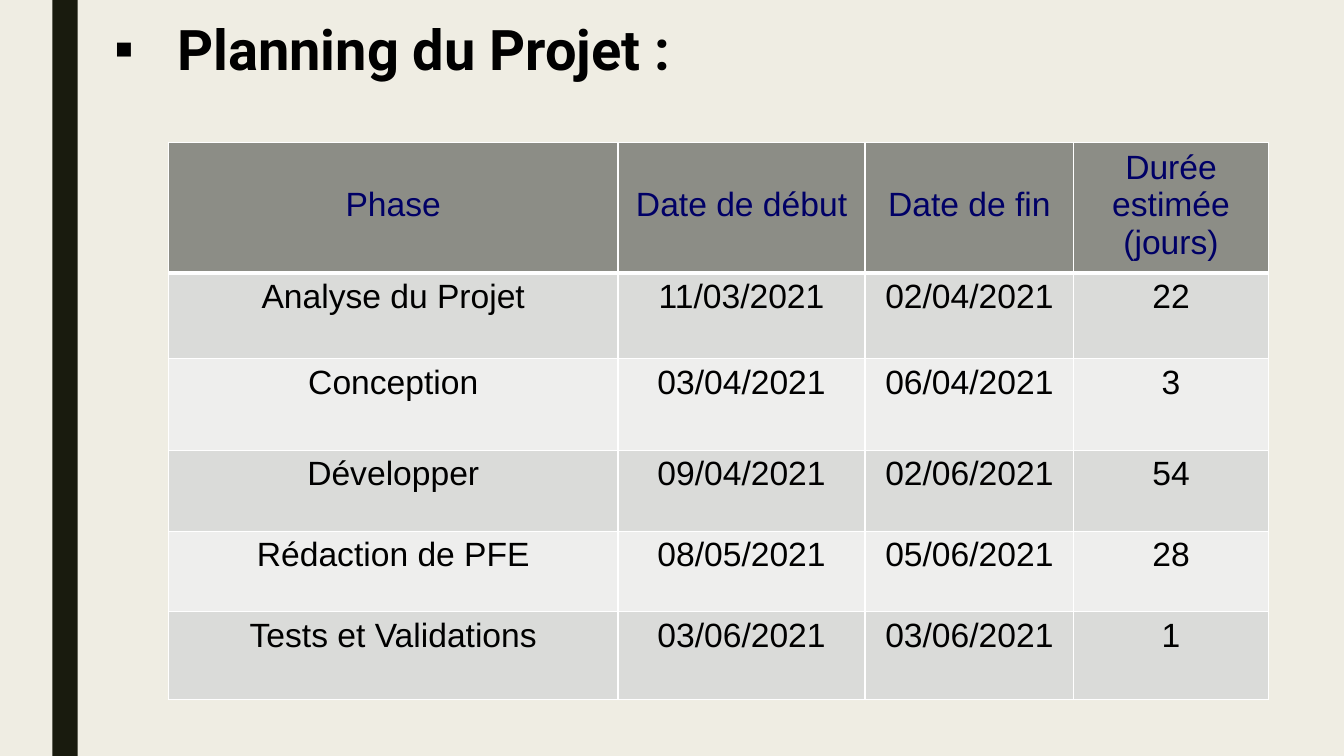
from lxml.etree import SubElement
from pptx import Presentation
from pptx.dml.color import RGBColor
from pptx.enum.shapes import MSO_SHAPE
from pptx.enum.text import MSO_ANCHOR, PP_ALIGN
from pptx.oxml.ns import qn
from pptx.util import Inches, Pt

COLORS = {
    "background": "EFEDE3",
    "band": "191B0E",
    "header": "8C8D86",
    "header_text": "000066",
    "odd_row": "DADBD9",
    "even_row": "EEEEED",
    "text": "000000",
    "border": "FFFFFF",
}
TITLE_FONT = {"name": "Roboto", "size": Pt(40), "bold": True}
CELL_FONT = {"name": "Arial", "size": Pt(24), "bold": False}

COL_WIDTHS = [4.46, 2.45, 2.07, 1.93]
ROW_HEIGHTS = [1.3, 0.85, 0.91, 0.8, 0.8, 0.87]
PLANNING = [
    ["Phase", "Date de début", "Date de fin", "Durée estimée (jours)"],
    ["Analyse du Projet", "11/03/2021", "02/04/2021", "22"],
    ["Conception", "03/04/2021", "06/04/2021", "3"],
    ["Développer", "09/04/2021", "02/06/2021", "54"],
    ["Rédaction de PFE", "08/05/2021", "05/06/2021", "28"],
    ["Tests et Validations", "03/06/2021", "03/06/2021", "1"],
]


def rgb(name):
    return RGBColor.from_string(COLORS[name])


def paint(fill, color):
    fill.solid()
    fill.fore_color.rgb = rgb(color)


def write(p, text, font, color):
    r = p.add_run()
    r.text = text
    for key, value in font.items():
        setattr(r.font, key, value)
    r.font.color.rgb = rgb(color)


def set_borders(cell, bottom):
    """Draw the four cell borders; they must precede the fill in tcPr."""
    tc_pr = cell._tc.get_or_add_tcPr()
    for side, width in (("L", 1), ("R", 1), ("T", 1), ("B", bottom)):
        ln = SubElement(tc_pr, qn(f"a:ln{side}"), w=str(Pt(width)))
        fill = SubElement(ln, qn("a:solidFill"))
        SubElement(fill, qn("a:srgbClr"), val=COLORS["border"])


def add_band(s, left, top, width, height):
    sp = s.shapes.add_shape(MSO_SHAPE.RECTANGLE, Inches(left), Inches(top),
                            Inches(width), Inches(height))
    sp.shadow.inherit = False
    paint(sp.fill, "band")
    sp.line.fill.background()


def add_title(s, left, top, width, height):
    sp = s.shapes.add_textbox(Inches(left), Inches(top), Inches(width), Inches(height))
    tf = sp.text_frame
    tf.word_wrap = True
    p = tf.paragraphs[0]
    write(p, "Planning du Projet :", TITLE_FONT, "text")
    # Square bullet with hanging indent
    p_pr = p._p.get_or_add_pPr()
    p_pr.set("marL", str(Inches(0.62)))
    p_pr.set("indent", str(Inches(-0.62)))
    SubElement(p_pr, qn("a:buFont"), typeface="Arial")
    SubElement(p_pr, qn("a:buChar"), char="▪")


def add_planning(s, left, top):
    table = s.shapes.add_table(
        len(PLANNING), len(COL_WIDTHS), Inches(left), Inches(top),
        Inches(sum(COL_WIDTHS)), Inches(sum(ROW_HEIGHTS))).table
    for col, width in zip(table.columns, COL_WIDTHS):
        col.width = Inches(width)
    for i, (row, height, texts) in enumerate(zip(table.rows, ROW_HEIGHTS, PLANNING)):
        row.height = Inches(height)
        is_header = i == 0
        fill = "header" if is_header else ("odd_row" if i % 2 else "even_row")
        for cell, text in zip(row.cells, texts):
            set_borders(cell, bottom=3 if is_header else 1)
            paint(cell.fill, fill)
            if is_header:
                cell.vertical_anchor = MSO_ANCHOR.MIDDLE
                cell.margin_bottom = Inches(0.1)
            p = cell.text_frame.paragraphs[0]
            p.alignment = PP_ALIGN.CENTER
            write(p, text, CELL_FONT, "header_text" if is_header else "text")


def main():
    prs = Presentation()
    prs.slide_width, prs.slide_height = Inches(13.33), Inches(7.5)
    s = prs.slides.add_slide(prs.slide_layouts[6])
    paint(s.background.fill, "background")
    add_band(s, 0.52, 0, 0.25, 7.5)
    add_planning(s, 1.67, 1.41)
    add_title(s, 1.04, 0.1, 11.5, 0.77)
    prs.save("out.pptx")


if __name__ == "__main__":
    main()
